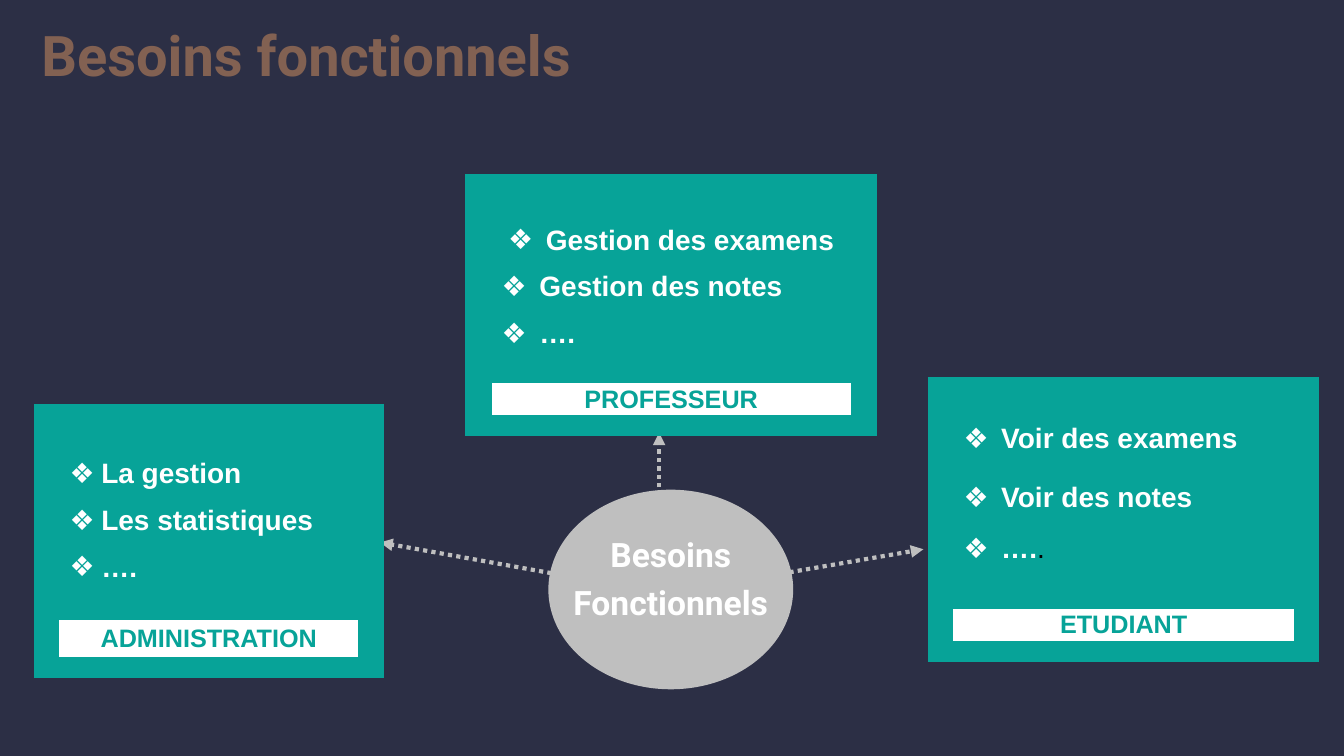
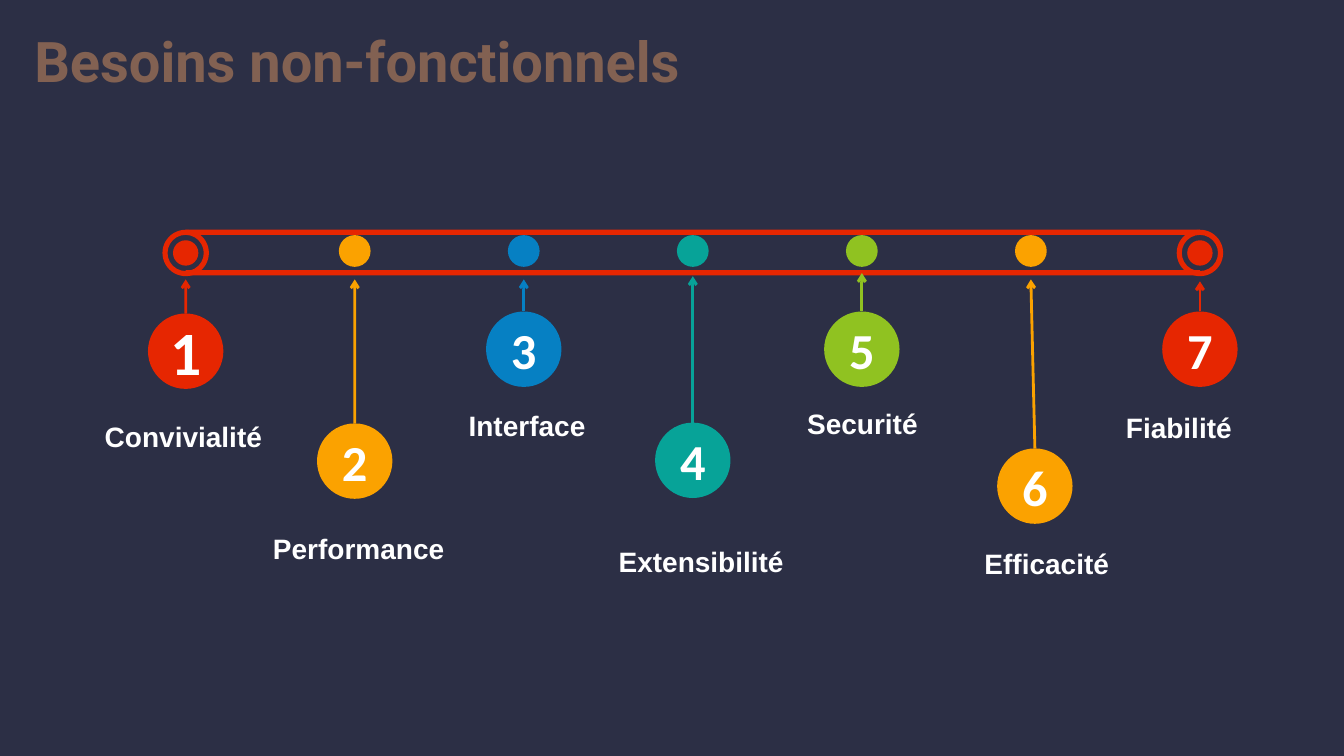
from dataclasses import dataclass

from lxml.etree import SubElement
from pptx import Presentation
from pptx.dml.color import RGBColor
from pptx.enum.dml import MSO_LINE
from pptx.enum.shapes import MSO_CONNECTOR, MSO_SHAPE as Preset
from pptx.enum.text import MSO_ANCHOR as Anchor, MSO_AUTO_SIZE as AutoSize, PP_ALIGN as Align
from pptx.oxml import parse_xml
from pptx.oxml.ns import nsdecls, qn
from pptx.util import Cm, Pt


@dataclass(frozen=True)
class Theme:
    page: str = "2C2F45"
    title: str = "826152"
    white: str = "FFFFFF"
    black: str = "000000"
    grey: str = "BFBFBF"
    teal: str = "07A398"
    red: str = "E62601"
    orange: str = "FBA200"
    blue: str = "0680C3"
    green: str = "90C221"
    heading_font: str = "Roboto"
    body_font: str = "Arial"
    number_font: str = "Calibri"
    title_size: int = 40
    number_size: int = 36
    first_number_size: int = 44
    hub_size: int = 24
    body_size: int = 20
    band_size: int = 18


@dataclass(frozen=True)
class Box:
    """Left, top, width and height in centimetres."""
    left: float
    top: float
    width: float
    height: float

    def lengths(self):
        return [Cm(v) for v in (self.left, self.top, self.width, self.height)]


@dataclass(frozen=True)
class Bullet:
    text: str
    align: Align = Align.LEFT
    before: int = 0
    ending: str = ""


@dataclass(frozen=True)
class Card:
    box: Box
    side: float
    band: float
    indent: float
    line_spacing: float
    name: str
    bullets: tuple


@dataclass(frozen=True)
class Step:
    label: str
    color: str
    tip: float      # arrow tip below the top of the track
    drop: float     # circle top below the top of the track
    label_box: Box  # relative to the step centre and the track top
    align: Align = Align.LEFT
    size: int = Theme.number_size
    shift: float = 0


THEME = Theme()
NO_STYLE = "{2D5ABB26-0587-4C30-8999-92F81FD0307C}"

CARDS = (
    Card(Box(11.76, 4.42, 10.31, 6.53), 0.63, 0.81, 0.95, 1.5, "PROFESSEUR",
         (Bullet("Gestion des examens", Align.CENTER), Bullet("Gestion des notes"), Bullet("…."))),
    Card(Box(23.42, 9.53, 9.78, 7.11), 0.6, 0.81, 0.95, 1, "ETUDIANT",
         (Bullet("Voir des examens"), Bullet("Voir des notes", before=20),
          Bullet("….", before=14, ending="."))),
    Card(Box(0.89, 10.21, 8.69, 6.83), 0.58, 0.93, 0.8, 1.5, "ADMINISTRATION",
         (Bullet("La gestion"), Bullet("Les statistiques"), Bullet("…."))),
)
HUB_ARROWS = (
    ((16.61, 13.34), (16.61, 10.9)),
    ((14.94, 14.63), (9.58, 13.67)),
    ((16.76, 14.96), (23.27, 13.84)),
)
STEPS = (
    Step("Convivialité", THEME.red, 1.25, 2.11, Box(-2.29, 4.65, 5.56, 1.12),
         size=THEME.first_number_size),
    Step("Performance", THEME.orange, 1.25, 4.88, Box(-2.31, 7.49, 6.5, 1.12)),
    Step("Interface", THEME.blue, 1.25, 2.06, Box(-1.64, 4.37, 5.89, 1.12)),
    Step("Extensibilité", THEME.teal, 1.17, 4.86, Box(-2.12, 7.8, 6.15, 1.12)),
    Step("Securité", THEME.green, 1.09, 2.06, Box(-1.63, 4.32, 4.32, 1.12)),
    Step("Efficacité", THEME.orange, 1.25, 5.51, Box(-2.33, 7.85, 5.46, 1.12),
         align=Align.CENTER, shift=0.1),
    Step("Fiabilité", THEME.red, 1.3, 2.06, Box(-3.21, 4.42, 5.36, 1.12), align=Align.CENTER),
)


# Shared helpers
def rgb(color):
    return RGBColor.from_string(color)


def style(para, font, size, color, align=Align.LEFT):
    para.alignment = align
    para.font.name = font
    para.font.size = Pt(size)
    para.font.bold = True
    para.font.color.rgb = rgb(color)


def add_preset(page, preset, box, color):
    shape = page.shapes.add_shape(preset, *box.lengths())
    shape.shadow.inherit = False
    shape.fill.solid()
    shape.fill.fore_color.rgb = rgb(color)
    shape.line.fill.background()
    return shape


def add_dot(page, center_x, center_y, size, color, preset=Preset.OVAL):
    box = Box(center_x - size / 2, center_y - size / 2, size, size)
    return add_preset(page, preset, box, color)


def add_text(page, box, lines, font, size, align, anchor=Anchor.TOP, before=0):
    frame = page.shapes.add_textbox(*box.lengths()).text_frame
    frame.word_wrap = True
    frame.vertical_anchor = anchor
    frame.text = "\n".join(lines)
    for para in frame.paragraphs:
        style(para, font, size, THEME.white, align)
        para.space_before = Pt(before)


def add_arrow(page, start, end, color, width, head, dash=None):
    points = [Cm(v) for v in (*start, *end)]
    arrow = page.shapes.add_connector(MSO_CONNECTOR.STRAIGHT, *points)
    arrow.line.color.rgb = rgb(color)
    arrow.line.width = Pt(width)
    if dash:
        arrow.line.dash_style = dash
    properties = arrow._element.spPr
    SubElement(properties.find(qn("a:ln")), qn("a:tailEnd"), type=head)
    SubElement(properties, qn("a:effectLst"))
    return arrow


def add_page(deck, title, box):
    page = deck.slides.add_slide(deck.slide_layouts[5])
    holder = page.shapes.title
    holder.left, holder.top, holder.width, holder.height = box.lengths()
    frame = holder.text_frame
    frame.text = title
    frame.word_wrap = True
    frame.auto_size = AutoSize.NONE
    frame.vertical_anchor = Anchor.TOP
    style(frame.paragraphs[0], THEME.heading_font, THEME.title_size, THEME.title)
    return page


# Actor cards
def add_border(cell, sides):
    properties = cell._tc.get_or_add_tcPr()
    for position, side in enumerate(sides):
        properties.insert(position, parse_xml(
            f'<a:ln{side} {nsdecls("a")} w="28575"><a:solidFill>'
            f'<a:srgbClr val="{THEME.teal}"/></a:solidFill></a:ln{side}>'))


def fill_bullets(cell, card):
    frame = cell.text_frame
    frame.text = "\n".join(bullet.text for bullet in card.bullets)
    for para, bullet in zip(frame.paragraphs, card.bullets):
        properties = para._p.get_or_add_pPr()
        properties.set("marL", str(Cm(card.indent)))
        properties.set("indent", str(-Cm(card.indent)))
        SubElement(properties, qn("a:buFont"), typeface=THEME.body_font)
        SubElement(properties, qn("a:buChar"), char="❖")
        style(para, THEME.body_font, THEME.body_size, THEME.white, bullet.align)
        para.line_spacing = float(card.line_spacing)
        para.space_before = Pt(bullet.before)
        if bullet.ending:
            span = para.add_run()
            span.text = bullet.ending
            span.font.bold = False
            span.font.color.rgb = rgb(THEME.black)


def add_card(page, card, gap=0.48):
    box = card.box
    table = page.shapes.add_table(5, 3, *box.lengths()).table
    table.first_row = table.horz_banding = False
    table._tbl.tblPr.find(qn("a:tableStyleId")).text = NO_STYLE
    widths = (card.side, box.width - 2 * card.side, card.side)
    heights = (gap, box.height - 3 * gap - card.band, gap, card.band, gap)
    for column, width in zip(table.columns, widths):
        column.width = Cm(width)
    for row, height in zip(table.rows, heights):
        row.height = Cm(height)

    body, band = table.cell(1, 1), table.cell(3, 1)
    for r in range(5):
        for c in range(3):
            cell = table.cell(r, c)
            cell.margin_top = cell.margin_bottom = 0
            cell.vertical_anchor = Anchor.MIDDLE
            cell.fill.solid()
            is_band = (r, c) == (3, 1)
            cell.fill.fore_color.rgb = rgb(THEME.white if is_band else THEME.teal)
            edges = (("L", c == 0), ("R", c == 2), ("T", r == 0), ("B", r == 4))
            add_border(cell, [side for side, outer in edges if outer])
            if c != 1 or r not in (1, 3):
                SubElement(cell.text_frame.paragraphs[0]._p, qn("a:endParaRPr"), sz="100")
    fill_bullets(body, card)
    band.text_frame.text = card.name
    style(band.text_frame.paragraphs[0], THEME.body_font, THEME.band_size, THEME.teal, Align.CENTER)


def add_hub(page, box):
    add_preset(page, Preset.OVAL, box, THEME.grey)
    label = Box(box.left, box.top + 1.05, box.width, 2.36)
    add_text(page, label, ("Besoins", "Fonctionnels"), THEME.heading_font, THEME.hub_size,
             Align.CENTER, Anchor.MIDDLE, before=5)


# Timeline
def add_track(page, box, pitch):
    rail = 0.13
    for top in (box.top, box.top + 1.02):
        add_preset(page, Preset.RECTANGLE, Box(box.left, top, box.width, rail), THEME.red)
    middle = box.top + box.height / 2
    last = len(STEPS) - 1
    for i, step in enumerate(STEPS):
        center = box.left + i * pitch
        if i in (0, last):
            ring = add_dot(page, center, middle, box.height, step.color, Preset.DONUT)
            ring.adjustments[0] = 0.11
            add_dot(page, center, middle, 0.64, step.color)
        else:
            add_dot(page, center, middle - 0.05, 0.8, step.color)


def add_step(page, track, center, number, step, size=1.9):
    middle = center + step.shift
    top = track.top + step.drop
    circle = add_dot(page, middle, top + size / 2, size, step.color)
    frame = circle.text_frame
    frame.margin_left = frame.margin_right = frame.margin_top = frame.margin_bottom = 0
    frame.word_wrap = False
    frame.vertical_anchor = Anchor.MIDDLE
    frame.text = str(number)
    style(frame.paragraphs[0], THEME.number_font, step.size, THEME.white, Align.CENTER)

    arrow = add_arrow(page, (middle, top), (center, track.top + step.tip), step.color, 2, "arrow")
    arrow.begin_connect(circle, 0)
    place = step.label_box
    label = Box(center + place.left, track.top + place.top, place.width, place.height)
    add_text(page, label, (step.label,), THEME.body_font, THEME.body_size, step.align)


# Slides
def build_functional(deck):
    page = add_page(deck, "Besoins fonctionnels", Box(0.79, 0.38, 13.94, 1.96))
    for start, end in HUB_ARROWS:
        add_arrow(page, start, end, THEME.grey, 3, "triangle", MSO_LINE.ROUND_DOT)
    add_hub(page, Box(13.82, 12.34, 6.17, 5.03))
    for card in CARDS:
        add_card(page, card)


def build_non_functional(deck):
    page = add_page(deck, "Besoins non-fonctionnels", Box(0.61, 0.53, 17.07, 1.96))
    track = Box(4.68, 5.79, 25.56, 1.17)
    pitch = track.width / (len(STEPS) - 1)
    add_track(page, track, pitch)
    for i, step in enumerate(STEPS):
        add_step(page, track, track.left + i * pitch, i + 1, step)


def main():
    deck = Presentation()
    deck.slide_width, deck.slide_height = Cm(33.87), Cm(19.05)
    backdrop = deck.slide_master.background.fill
    backdrop.solid()
    backdrop.fore_color.rgb = rgb(THEME.page)
    build_functional(deck)
    build_non_functional(deck)
    deck.save("out.pptx")


if __name__ == "__main__":
    main()
